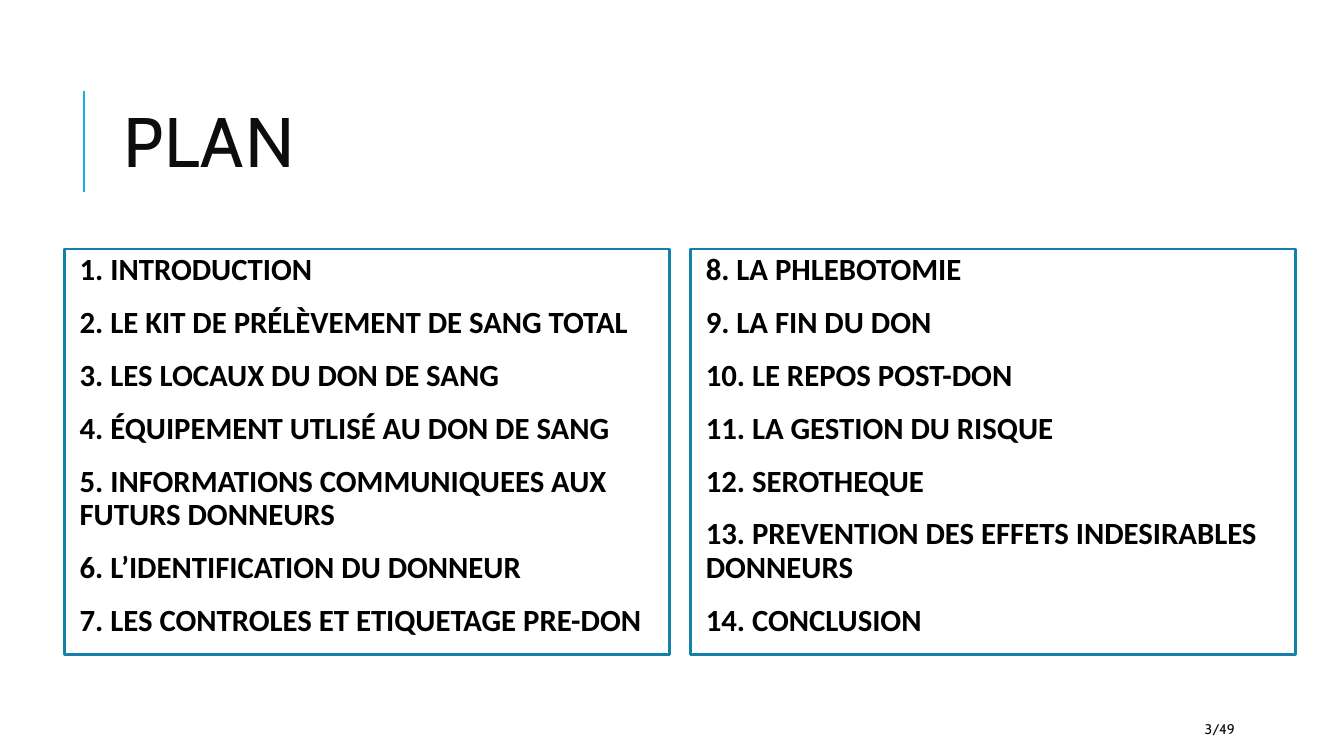
import pptx
import pptx.util
import pptx.dml.color
import pptx.enum.shapes
import pptx.enum.text
from lxml import etree

# Content
TITLE = "PLAN"
CHAPTERS = [
    "INTRODUCTION",
    "LE KIT DE PRÉLÈVEMENT DE SANG TOTAL",
    "LES LOCAUX DU DON DE SANG",
    "ÉQUIPEMENT UTLISÉ AU DON DE SANG",
    "INFORMATIONS COMMUNIQUEES AUX FUTURS DONNEURS",
    "L’IDENTIFICATION DU DONNEUR",
    "LES CONTROLES ET ETIQUETAGE PRE-DON",
    "LA PHLEBOTOMIE",
    "LA FIN DU DON",
    "LE REPOS POST-DON",
    "LA GESTION DU RISQUE",
    "SEROTHEQUE",
    "PREVENTION DES EFFETS INDESIRABLES DONNEURS",
    "CONCLUSION",
]
PAGE = "3/49"

COLORS = {"accent": "1CADE4", "border": "1580A9", "heading": "0D0D0D", "list": "000000"}
HEADING_FONT, LIST_FONT = "Cabin", "Calibri"

# Layout, in inches
SLIDE_W, SLIDE_H = 13.33, 7.5
PANEL_X, PANEL_Y, PANEL_W, PANEL_H = 0.64, 2.47, 6, 4.02
GUTTER = 0.21
PANEL_INSET, LIST_INDENT = 0.05, 0.1
PER_PANEL = len(CHAPTERS) // 2

Inches, Pt = pptx.util.Inches, pptx.util.Pt
MIDDLE = pptx.enum.text.MSO_ANCHOR.MIDDLE


def rgb(key):
    return pptx.dml.color.RGBColor.from_string(COLORS[key])


def place(part, left, top, width, height):
    part.left, part.top = Inches(left), Inches(top)
    part.width, part.height = Inches(width), Inches(height)


def set_font(paragraph, name, size, color, bold=False):
    font = paragraph.font
    font.name, font.size, font.bold = name, Pt(size), bold
    font.color.rgb = rgb(color)


def fill_panel(panel, column):
    place(panel, PANEL_X + column * (PANEL_W + GUTTER), PANEL_Y, PANEL_W, PANEL_H)
    panel.line.color.rgb = rgb("border")
    panel.line.width = Pt(2)
    frame = panel.text_frame
    frame.auto_size = pptx.enum.text.MSO_AUTO_SIZE.NONE
    frame.vertical_anchor = pptx.enum.text.MSO_ANCHOR.TOP
    frame.margin_left = frame.margin_right = Inches(PANEL_INSET)
    frame.margin_top = frame.margin_bottom = Inches(PANEL_INSET)
    first = column * PER_PANEL
    chapters = CHAPTERS[first:first + PER_PANEL]
    frame.text = "\n".join(
        f"{number}. {chapter}" for number, chapter in enumerate(chapters, first + 1))
    for row, paragraph in enumerate(frame.paragraphs):
        properties = paragraph._p.get_or_add_pPr()
        properties.set("marL", str(Inches(LIST_INDENT)))
        properties.set("indent", "0")
        etree.SubElement(properties, pptx.oxml.ns.qn("a:buNone"))
        paragraph.line_spacing = 0.9
        paragraph.space_before = Pt(12 if row else 0)
        paragraph.space_after = Pt(2)
        set_font(paragraph, LIST_FONT, 22, "list", bold=True)


def main():
    deck = pptx.Presentation()
    deck.slide_width, deck.slide_height = Inches(SLIDE_W), Inches(SLIDE_H)
    slide = deck.slides.add_slide(deck.slide_layouts.get_by_name("Two Content"))

    # Accent rule beside the title
    rule = slide.shapes.add_connector(
        pptx.enum.shapes.MSO_CONNECTOR.STRAIGHT,
        Inches(0.83), Inches(1.9), Inches(0.83), Inches(0.9))
    rule.line.color.rgb = rgb("accent")
    rule.line.width = Pt(1.5)
    etree.SubElement(rule._element.spPr, pptx.oxml.ns.qn("a:effectLst"))

    # Title
    title = slide.shapes.title
    place(title, 1.12, 0.64, 10.63, 1.64)
    title.text_frame.text = TITLE
    title.text_frame.auto_size = pptx.enum.text.MSO_AUTO_SIZE.NONE
    title.text_frame.vertical_anchor = MIDDLE
    heading = title.text_frame.paragraphs[0]
    heading.alignment = pptx.enum.text.PP_ALIGN.LEFT
    heading.line_spacing = 0.8
    set_font(heading, HEADING_FONT, 50, "heading")
    heading.runs[0]._r.get_or_add_rPr().set("spc", "100")

    # Two chapter panels
    for column in range(2):
        fill_panel(slide.placeholders[column + 1], column)

    # Page number
    page = slide.shapes.add_textbox(Inches(11.85), Inches(7.08), Inches(1.06), Inches(0.3))
    page.text_frame.word_wrap = True
    page.text_frame.vertical_anchor = MIDDLE
    page.text_frame.text = PAGE
    set_font(page.text_frame.paragraphs[0], HEADING_FONT, 10, "heading")

    deck.save("out.pptx")


if __name__ == "__main__":
    main()
